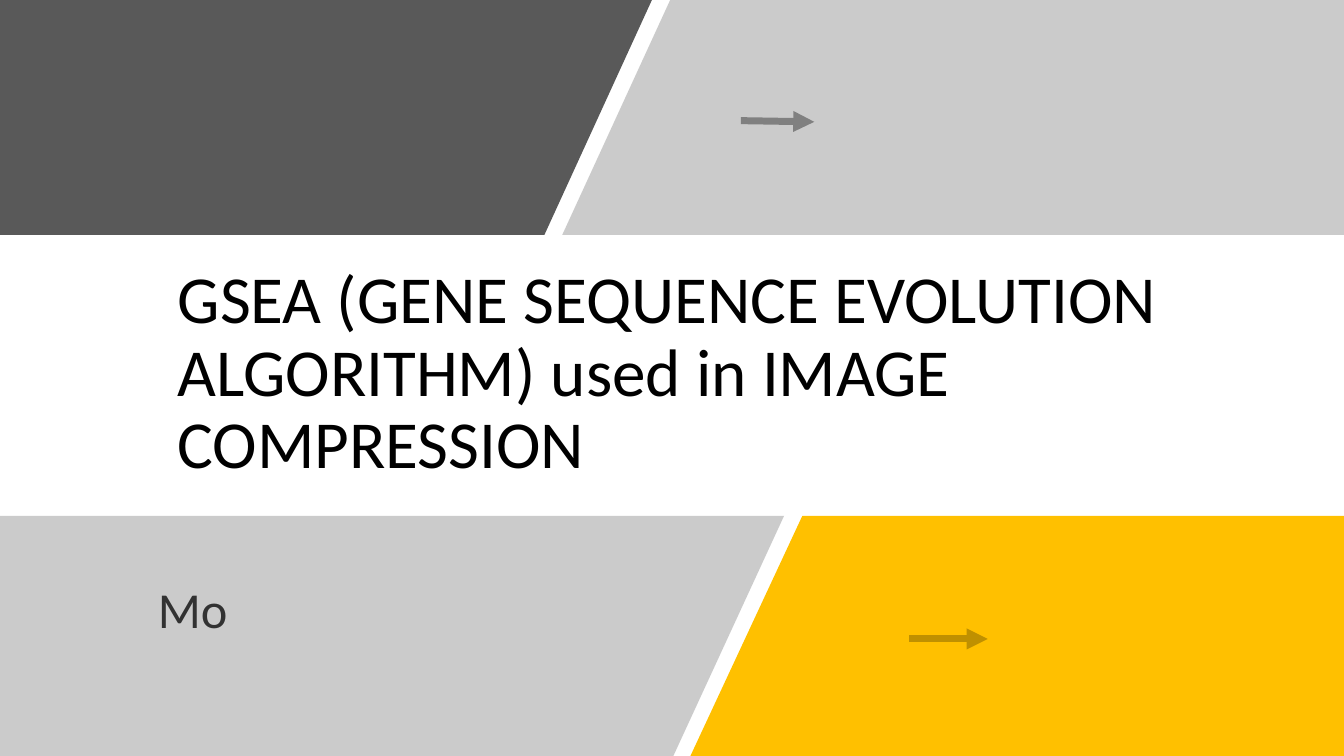
from collections import namedtuple
from dataclasses import dataclass

from lxml import etree
from pptx import Presentation
from pptx import util as u
from pptx.dml.color import RGBColor
from pptx.enum import shapes, text
from pptx.oxml import ns

Box = namedtuple("Box", "x y w h")  # centimetres


@dataclass(frozen=True)
class Theme:
    font: str = "Calibri"
    title: int = 48
    name: int = 36
    line: int = 5
    ink: str = "000000"
    white: str = "FFFFFF"
    dark: str = "595959"
    grey: str = "7F7F7F"
    gold: str = "FFC000"
    mute: str = "808080"
    brown: str = "BF9000"
    veil: int = 40  # opacity of the grey panels, percent


THEME = Theme()
WIDE, HIGH = 33.87, 19.05
TOP = Box(0, 0, WIDE, 5.92)
LOW = Box(0, 13, WIDE, HIGH - 13)
MID = Box(0, TOP.h, WIDE, LOW.y - TOP.h)


def add_slab(slide, box, left, right, color, alpha=None):
    """Fill a band between two slanted edges, each given as (top x, bottom x)."""
    points = [(left[0], 0), (right[0], 0), (right[1], box.h), (left[1], box.h)]
    spots = [(u.Cm(box.x + x), u.Cm(box.y + y)) for x, y in points]
    form = slide.shapes.build_freeform(*spots[0])
    form.add_line_segments(spots[1:], close=True)
    slab = form.convert_to_shape()
    slab.shadow.inherit = False
    slab.line.fill.background()
    slab.fill.solid()
    slab.fill.fore_color.rgb = RGBColor.from_string(color)
    if alpha:
        tint = slab.fill._xPr.find(".//" + ns.qn("a:srgbClr"))
        etree.SubElement(tint, ns.qn("a:alpha"), val=str(alpha * 1000))


def add_arrow(slide, box, x, y, wide, drop, color):
    x, y = box.x + x, box.y + y
    arrow = slide.shapes.add_connector(
        shapes.MSO_CONNECTOR.STRAIGHT,
        u.Cm(x), u.Cm(y), u.Cm(x + wide), u.Cm(y + drop))
    arrow.line.color.rgb = RGBColor.from_string(color)
    arrow.line.width = u.Pt(THEME.line)
    etree.SubElement(arrow.line._get_or_add_ln(), ns.qn("a:tailEnd"), type="triangle")
    etree.SubElement(arrow._element.spPr, ns.qn("a:effectLst"))


def add_text(slide, box, words, size, space, anchor):
    frame = slide.shapes.add_textbox(*(u.Cm(n) for n in box)).text_frame
    frame.word_wrap = True
    frame.vertical_anchor = anchor
    para = frame.paragraphs[0]
    para.line_spacing = space
    run = para.add_run()
    run.text = words
    run.font.name = THEME.font
    run.font.size = u.Pt(size)
    run.font.color.rgb = RGBColor.from_string(THEME.ink)


def draw_title(slide, box):
    add_text(slide, Box(box.x + 4.23, box.y + 0.33, 25.4, 6.05),
             "GSEA (GENE SEQUENCE EVOLUTION ALGORITHM) used in IMAGE COMPRESSION",
             THEME.title, 0.9, text.MSO_ANCHOR.BOTTOM)


def draw_top(slide, box):
    add_slab(slide, box, (0, 0), (16.43, 13.72), THEME.dark)
    add_slab(slide, box, (16.89, 14.17), (box.w, box.w), THEME.grey, THEME.veil)
    add_arrow(slide, box, 18.67, 3.04, 1.85, 0.03, THEME.mute)


def draw_low(slide, box):
    # The name lies under the grey veil
    add_text(slide, Box(box.x + 3.73, box.y + 1.73, 13.34, 1.6),
             "Mo", THEME.name, 0.8, text.MSO_ANCHOR.TOP)
    add_slab(slide, box, (19.89, 17.09), (29.65, 29.65), THEME.white)
    add_slab(slide, box, (20.22, 17.4), (box.w, box.w), THEME.gold)
    add_slab(slide, box, (0, 0), (19.76, 16.97), THEME.grey, THEME.veil)
    add_arrow(slide, box, 22.91, 3.1, 1.98, 0, THEME.brown)


def main():
    deck = Presentation()
    deck.slide_width, deck.slide_height = u.Cm(WIDE), u.Cm(HIGH)
    slide = deck.slides.add_slide(deck.slide_layouts[6])
    draw_title(slide, MID)
    draw_top(slide, TOP)
    draw_low(slide, LOW)
    deck.save("out.pptx")


if __name__ == "__main__":
    main()
